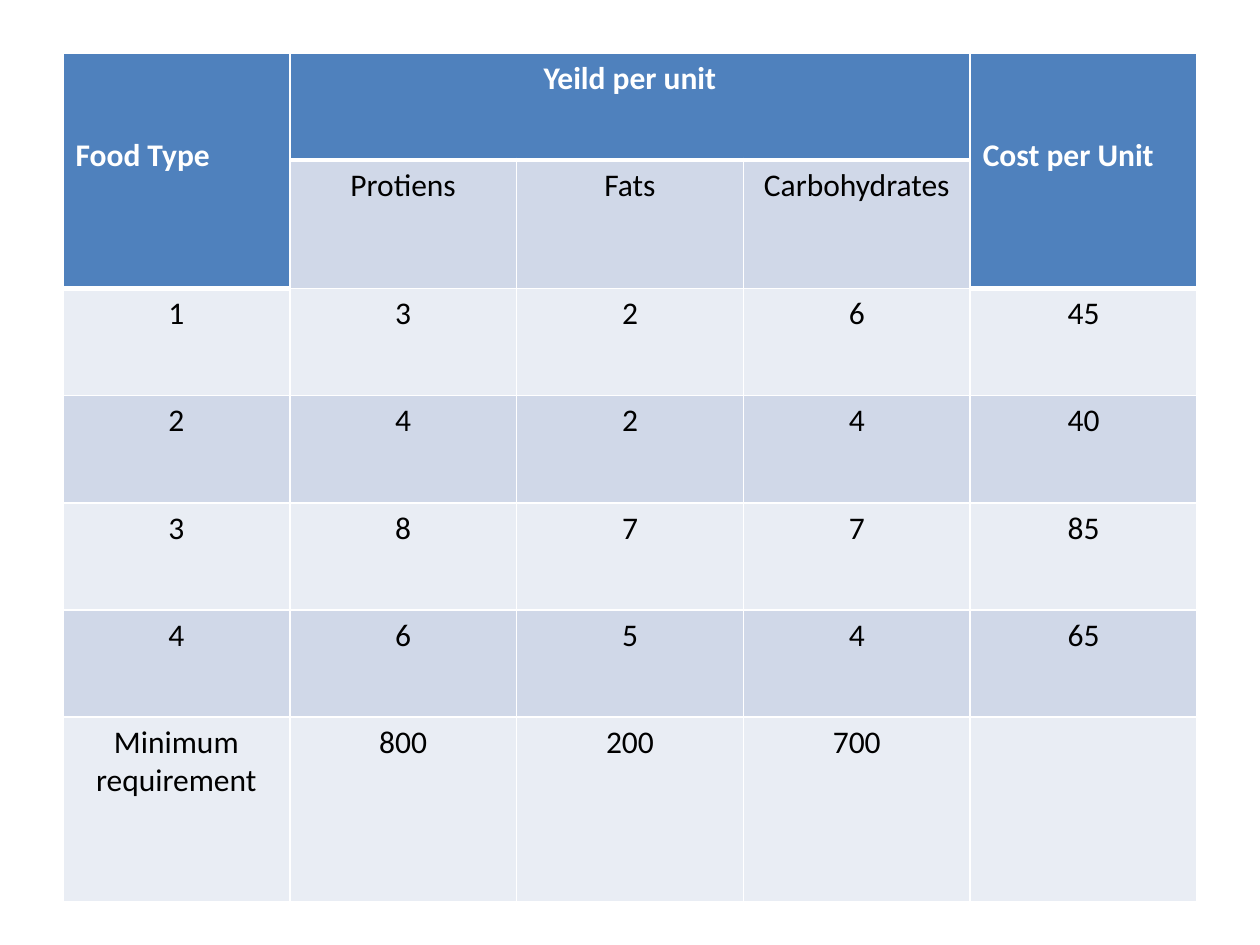
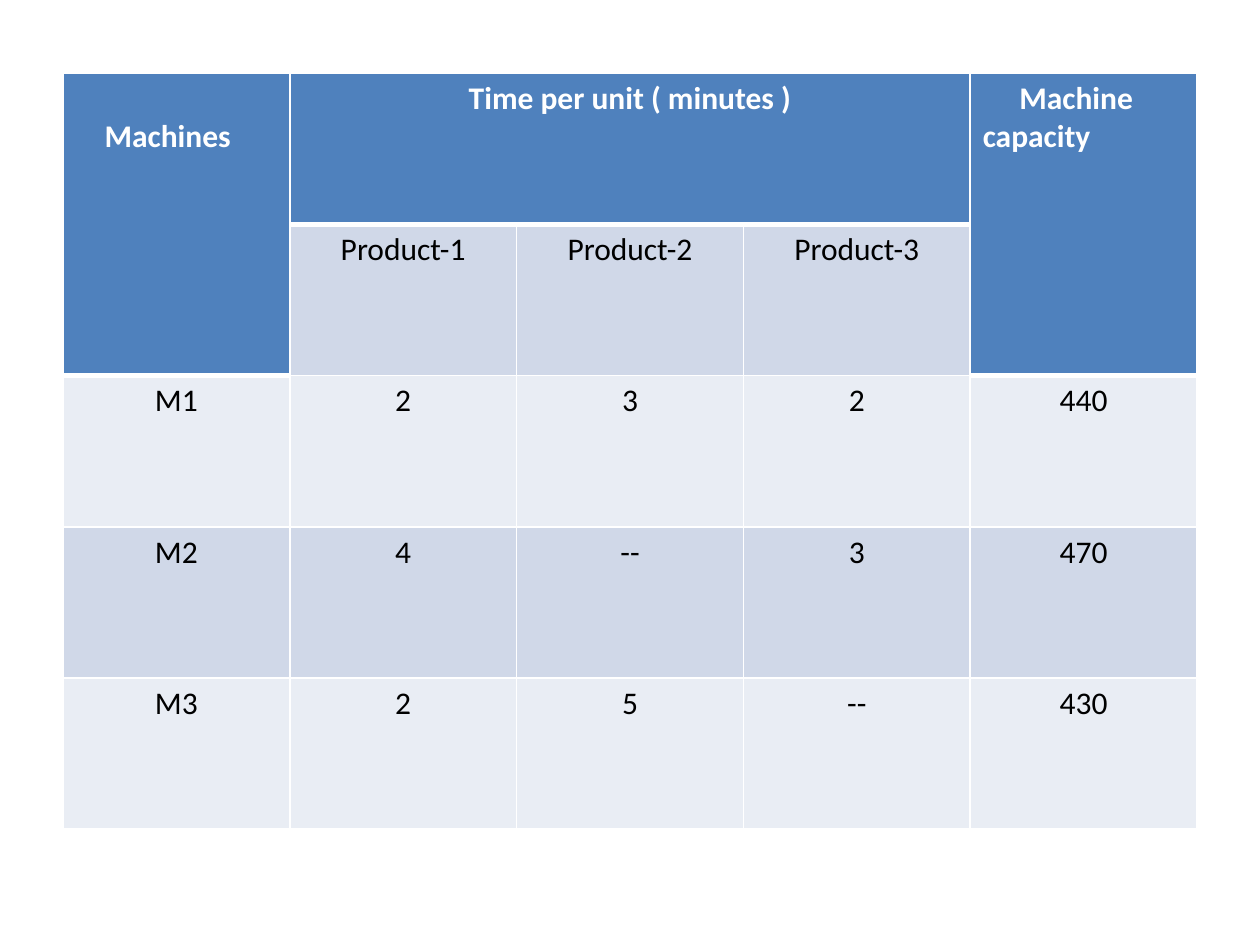
from lxml.etree import SubElement
from pptx import Presentation
from pptx.dml.color import RGBColor as Color
from pptx.enum.text import PP_ALIGN as Align
from pptx.oxml.ns import qn
from pptx.util import Inches, Pt

COLORS = {
    "header": "4F81BD",
    "band": "D0D8E8",
    "light": "E9EDF4",
    "border": "FFFFFF",
    "header_text": "FFFFFF",
    "body_text": "000000",
}
FONT, TEXT_SIZE = "Calibri", 18
SLIDE_WIDTH, SLIDE_HEIGHT = Inches(10), Inches(7.5)
COLUMNS = 5
LAST = COLUMNS - 1
LINE_HEIGHT = 0.305  # one line of text, in inches
THIN, THICK = 1, 3


def box(left, top, width, height):
    """Turn percentages of the slide into left, top, width and height."""
    return (
        int(SLIDE_WIDTH * left / 100), int(SLIDE_HEIGHT * top / 100),
        int(SLIDE_WIDTH * width / 100), int(SLIDE_HEIGHT * height / 100),
    )


def is_header(row, column):
    return row == 0 or (row == 1 and column in (0, LAST))


def set_borders(cell, row, column):
    below_header = row > 0 and is_header(row - 1, column) and not is_header(row, column)
    widths = {
        "L": THIN,
        "R": THIN,
        "T": THICK if below_header else THIN,
        "B": THICK if is_header(row, column) else THIN,
    }
    properties = cell._tc.get_or_add_tcPr()
    for side, width in widths.items():
        line = SubElement(properties, qn(f"a:ln{side}"), w=str(Pt(width)))
        fill = SubElement(line, qn("a:solidFill"))
        SubElement(fill, qn("a:srgbClr"), val=COLORS["border"])


def style_cell(cell, row, column):
    header = is_header(row, column)
    set_borders(cell, row, column)
    fill_name = "header" if header else "band" if row % 2 else "light"
    cell.fill.solid()
    cell.fill.fore_color.rgb = Color.from_string(COLORS[fill_name])

    paragraph = cell.text_frame.paragraphs[0]
    side_header = header and column in (0, LAST)
    paragraph.alignment = Align.LEFT if side_header else Align.CENTER
    font = paragraph.font
    font.name, font.size, font.bold = FONT, Pt(TEXT_SIZE), header
    font.color.rgb = Color.from_string(COLORS["header_text" if header else "body_text"])


def place_side_header(cell, lines_down, indent):
    """Lower a side header by whole lines and indent its first line."""
    cell.margin_top = Inches(0.05 + lines_down * LINE_HEIGHT)
    properties = cell.text_frame.paragraphs[0]._p.get_or_add_pPr()
    properties.set("marL", "0")
    properties.set("indent", str(Inches(indent)))


def add_data_slide(presentation, area, row_weights, rows, side_headers):
    slide = presentation.slides.add_slide(presentation.slide_layouts[6])
    left, top, width, height = area
    table = slide.shapes.add_table(len(rows), COLUMNS, left, top, width, height).table
    table.horz_banding = False

    # Grid
    for column in table.columns:
        column.width = width // COLUMNS
    for row, weight in zip(table.rows, row_weights):
        row.height = int(height * weight / sum(row_weights))

    # Cell text and style
    for row, texts in enumerate(rows):
        for column, text in enumerate(texts):
            cell = table.cell(row, column)
            cell.text = text
            style_cell(cell, row, column)

    # Headers that span rows or columns
    table.cell(0, 1).merge(table.cell(0, LAST - 1))
    for column, (lines_down, indent) in zip((0, LAST), side_headers):
        table.cell(0, column).merge(table.cell(1, column))
        place_side_header(table.cell(0, column), lines_down, indent)


def main():
    presentation = Presentation()
    presentation.slide_width, presentation.slide_height = SLIDE_WIDTH, SLIDE_HEIGHT

    # Food yields and costs
    add_data_slide(
        presentation, box(5, 5.6, 90, 89.9),
        [0.85, 1.02, 0.85, 0.85, 0.85, 0.85, 1.47],
        [
            ["Food Type", "Yeild per unit", "", "", "Cost per Unit"],
            ["", "Protiens", "Fats", "Carbohydrates", ""],
            ["1", "3", "2", "6", "45"],
            ["2", "4", "2", "4", "40"],
            ["3", "8", "7", "7", "85"],
            ["4", "6", "5", "4", "65"],
            ["Minimum requirement", "800", "200", "700", ""],
        ],
        side_headers=[(2, 0), (2, 0)],
    )

    # Machine times and capacities
    add_data_slide(
        presentation, box(5, 7.75, 90, 80),
        [1] * 5,
        [
            ["Machines", "Time per unit ( minutes )", "", "", "Machine capacity"],
            ["", "Product-1", "Product-2", "Product-3", ""],
            ["M1", "2", "3", "2", "440"],
            ["M2", "4", "--", "3", "470"],
            ["M3", "2", "5", "--", "430"],
        ],
        side_headers=[(1, 0.23), (0, 0.29)],
    )
    presentation.save("out.pptx")


if __name__ == "__main__":
    main()
